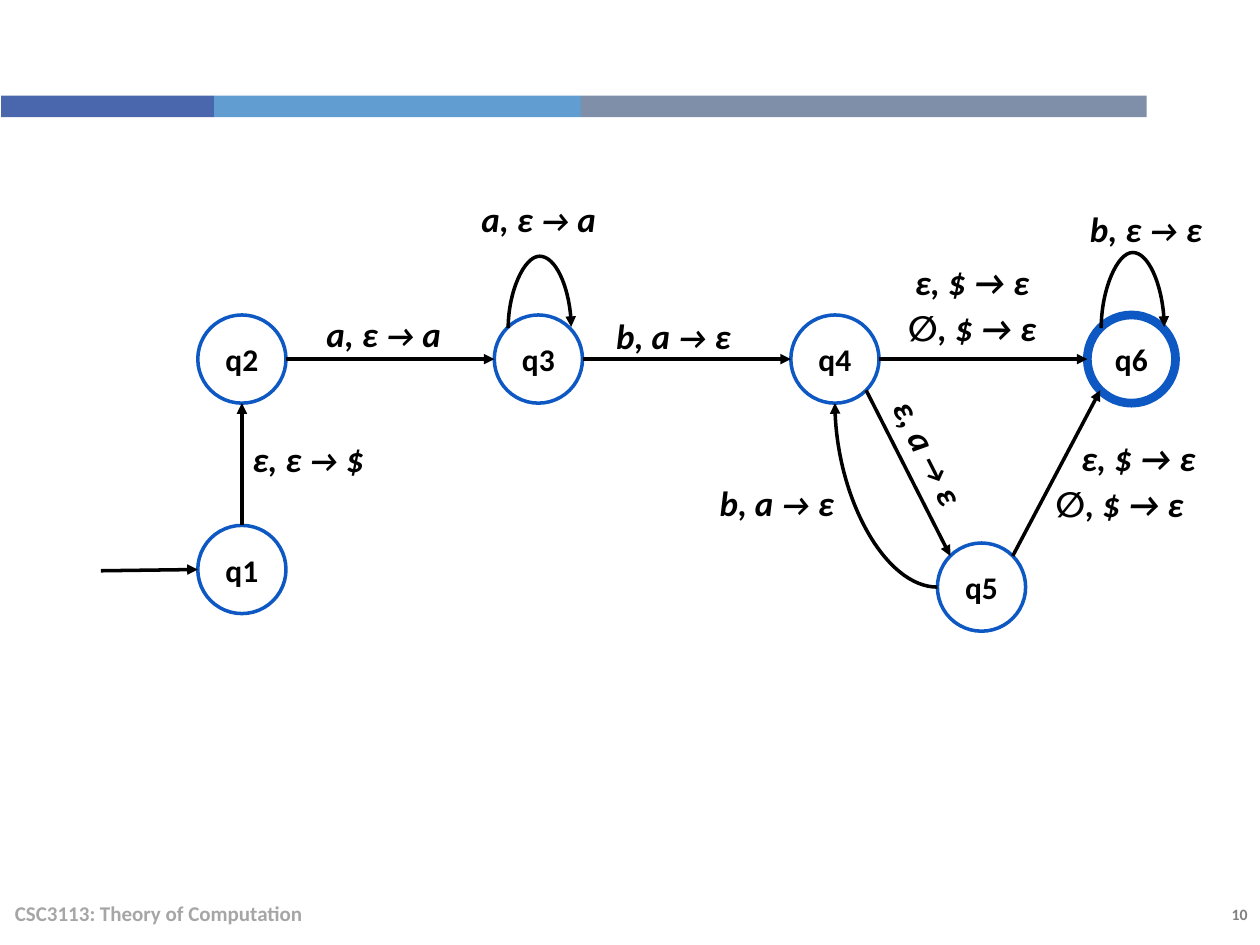
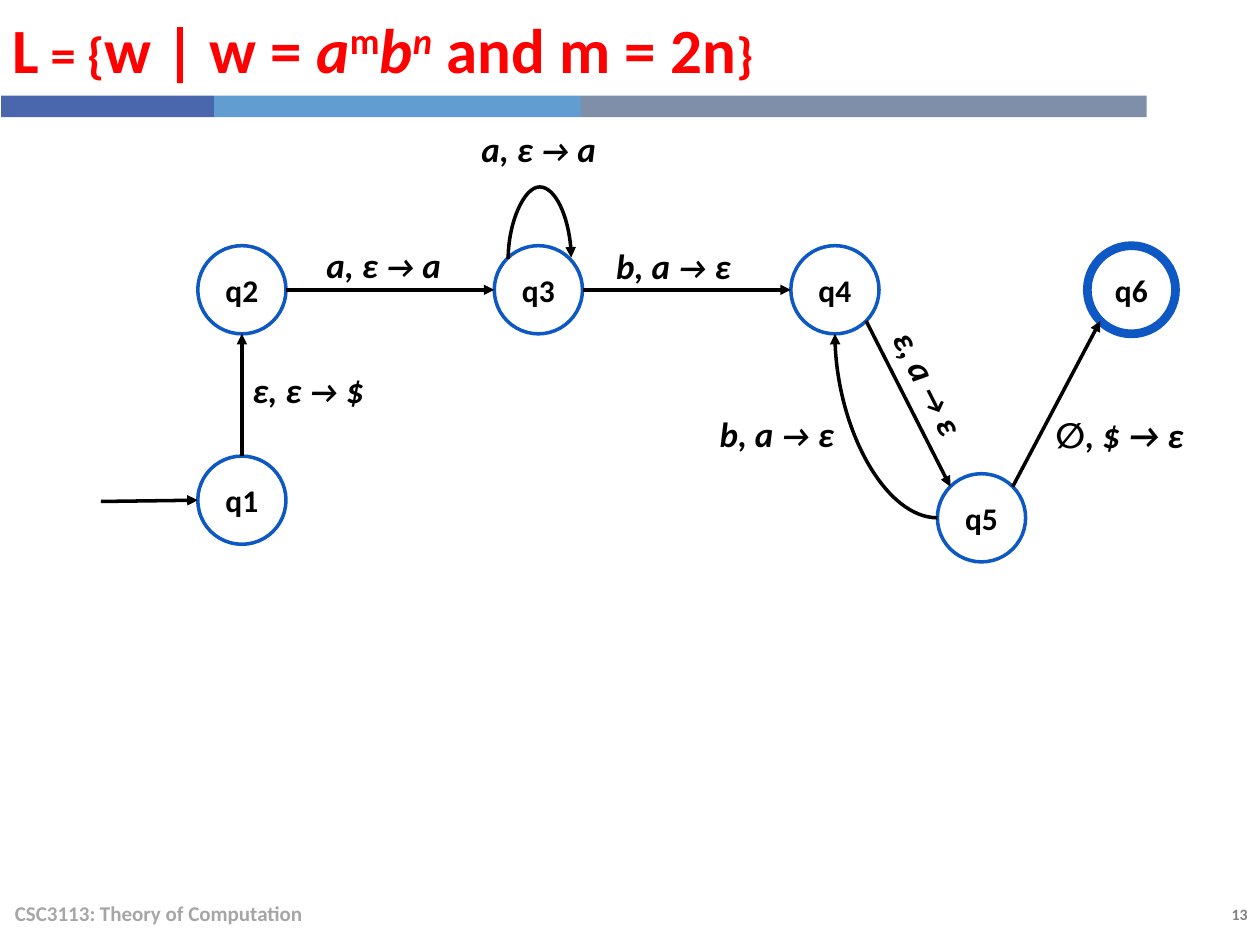
from dataclasses import dataclass
from typing import NamedTuple

import pptx
import pptx.dml.color
import pptx.enum.shapes
import pptx.enum.text
import pptx.oxml.ns
import pptx.oxml.xmlchemy
import pptx.util

FONT = "Calibri"
BLACK, WHITE, BLUE, RED = "000000", "FFFFFF", "0E58C4", "FF0000"
PALE, GRAY = "A6A6A6", "808080"
COURSE = "CSC3113: Theory of Computation"
SIZE = 0.7          # state diameter
LIFT = 0.55         # how far the second diagram moves up
KIND = pptx.enum.shapes.MSO_SHAPE
LINK = pptx.enum.shapes.MSO_CONNECTOR
ALIGN = pptx.enum.text.PP_ALIGN
ANCHOR = pptx.enum.text.MSO_ANCHOR
Inches = pptx.util.Inches


class Point(NamedTuple):
    x: float
    y: float


class Run(NamedTuple):
    text: str
    size: float | None = None
    italic: bool | None = None
    raised: bool = False
    small: bool = False


class Band(NamedTuple):
    left: float
    width: float
    color: str


@dataclass
class State:
    name: str
    left: float
    top: float
    final: bool = False

    def port(self, dx: float, dy: float) -> Point:
        """Point on the rim in direction (dx, dy)."""
        half = SIZE / 2
        reach = half / (dx * dx + dy * dy) ** 0.5
        return Point(self.left + half + dx * reach, self.top + half + dy * reach)


@dataclass
class Label:
    text: str
    left: float
    top: float
    turn: float = 0


BANDS = [Band(0.01, 1.69, "4A66AC"), Band(1.7, 2.91, "629DD1"), Band(4.61, 4.49, "7F8FA9")]
COLS = [1.57 + 7.06 * i / 3 for i in range(4)]
ROW = 2.5
STATES = [
    State("q1", COLS[0], 4.17), State("q2", COLS[0], ROW), State("q3", COLS[1], ROW),
    State("q5", 7.44, 4.31), State("q4", COLS[2], ROW), State("q6", COLS[3], ROW, True),
]

# Edges: from state, direction of its port, to state, direction of its port
LEFT, RIGHT, UP, DOWN = (-1, 0), (1, 0), (0, -1), (0, 1)
EDGES = [
    ("q1", UP, "q2", DOWN), ("q2", RIGHT, "q3", LEFT), ("q3", RIGHT, "q4", LEFT),
    ("q5", (1, -1), "q6", (-1, 1)), ("q4", (1, 1), "q5", (-1, -1)),
]
LABELS = [
    Label("a, ε → a", 2.33, 2.41), Label("b, a → ε", 4.63, 2.42),
    Label("ε, a → ε", 6.66, 3.35, 63.2), Label("a, ε → a", 3.56, 1.49),
    Label("b, a → ε", 5.45, 3.75), Label("ε, ε → $", 1.73, 3.4),
    Label("∅, $ → ε", 8.17, 3.76),
]
MORE = [
    Label("b, ε → ε", 8.38, 1.57), Label("ε, $ → ε", 7, 1.99),
    Label("∅, $ → ε", 7, 2.36), Label("ε, $ → ε", 8.32, 3.39),
]
TITLE = [
    Run("L = {", small=True), Run("w | w = "), Run("a", italic=True), Run("m", raised=True),
    Run("b", italic=True), Run("n", italic=True, raised=True), Run(" and m = 2n"),
    Run("}", small=True),
]


def rgb(code: str) -> pptx.dml.color.RGBColor:
    return pptx.dml.color.RGBColor.from_string(code)


def node(tag: str, **attrs: str):
    """Make a drawing XML element with attributes."""
    item = pptx.oxml.xmlchemy.OxmlElement(f"a:{tag}")
    for key, value in attrs.items():
        item.set(key, value)
    return item


def find(parent, tag: str):
    return parent.find(pptx.oxml.ns.qn(f"a:{tag}"))


def write(frame, runs: list[Run], *, size: float, color: str = BLACK, italic: bool = False,
          align=ALIGN.LEFT, anchor=ANCHOR.MIDDLE, before: float = 0, wrap: bool = True) -> None:
    """Fill a text frame with one formatted paragraph."""
    frame.word_wrap = wrap
    frame.auto_size = pptx.enum.text.MSO_AUTO_SIZE.NONE
    frame.vertical_anchor = anchor
    para = frame.paragraphs[0]
    para.alignment = align
    para.space_before = pptx.util.Pt(before)
    for item in runs:
        run = para.add_run()
        run.text = item.text
        font = run.font
        font.name, font.bold = FONT, True
        font.size = pptx.util.Pt(item.size or size)
        font.italic = italic if item.italic is None else item.italic
        font.color.rgb = rgb(color)
        if item.raised:
            font._element.set("baseline", "30000")
        if item.small:
            font._element.set("cap", "small")


def box(slide, left: float, top: float, width: float, height: float):
    return slide.shapes.add_textbox(Inches(left), Inches(top), Inches(width), Inches(height))


def shape(slide, kind, left: float, top: float, width: float, height: float, fill: str):
    item = slide.shapes.add_shape(kind, Inches(left), Inches(top), Inches(width), Inches(height))
    item.shadow.inherit = False
    item.fill.solid()
    item.fill.fore_color.rgb = rgb(fill)
    item.line.fill.background()
    return item


def link(slide, kind, start: Point, end: Point, tip: str = "tailEnd"):
    """Draw a black connector with one arrowhead."""
    line = slide.shapes.add_connector(
        kind, Inches(start.x), Inches(start.y), Inches(end.x), Inches(end.y))
    line.line.color.rgb = rgb(BLACK)
    line.line.width = pptx.util.Pt(2)
    props = line.element.spPr
    find(props, "ln").append(node(tip, type="triangle"))
    props.append(node("effectLst"))
    return line


def curve(slide, mid: Point, width: float, height: float, *, preset: str, turn: int,
          flips: str, tip: str, bend: float | None = None) -> None:
    """Draw a turned curved connector centred on mid."""
    start = Point(mid.x - width / 2, mid.y - height / 2)
    end = Point(mid.x + width / 2, mid.y + height / 2)
    props = link(slide, LINK.CURVE, start, end, tip).element.spPr
    frame = find(props, "xfrm")
    frame.set("rot", str(turn * 60000))
    for flip in flips:
        frame.set(f"flip{flip}", "1")
    geom = find(props, "prstGeom")
    geom.set("prst", preset)
    if bend is not None:
        find(geom, "avLst").append(node("gd", name="adj1", fmla=f"val {round(bend * 100000)}"))


def loop(slide, state: State, rise: float) -> None:
    drop = 0.01
    mid = Point(state.left + SIZE / 2 + 0.01, state.top + 0.1)
    curve(slide, mid, drop, 0.5, preset="curvedConnector3", turn=90, flips="HV",
          tip="tailEnd", bend=rise / drop)


def back(slide, low: State, high: State) -> None:
    """Curve from the left of the low state up to the foot of the high one."""
    start, end = high.port(*DOWN), low.port(*LEFT)
    mid = Point((start.x + end.x) / 2, (start.y + end.y) / 2)
    curve(slide, mid, end.y - start.y, end.x - start.x, preset="curvedConnector2",
          turn=270, flips="H", tip="headEnd")


def mark(slide, label: Label, lift: float) -> None:
    item = box(slide, label.left, label.top - lift, 1.43, 0.48)
    item.rotation = label.turn
    runs = [Run(label.text)]
    if "$ →" not in label.text:     # stack tests keep a full-size arrow
        left, right = label.text.split("→")
        runs = [Run(left), Run("→", 18), Run(right)]
    write(item.text_frame, runs, size=20, italic=True, align=ALIGN.CENTER)


def draw(slide, lift: float = 0, full: bool = False) -> None:
    """Draw the automaton; full adds the moves into and around q6."""
    states = {s.name: State(s.name, s.left, s.top - lift, s.final) for s in STATES}
    for state in states.values():
        disc = shape(slide, KIND.OVAL, state.left, state.top, SIZE, SIZE, WHITE)
        disc.line.color.rgb = rgb(BLUE)
        disc.line.width = pptx.util.Pt(5 if state.final else 2)
        write(disc.text_frame, [Run(state.name)], size=18, align=ALIGN.CENTER, wrap=False)

    # Moves
    link(slide, LINK.STRAIGHT, Point(0.8, 4.53 - lift), states["q1"].port(*LEFT))
    extra = [("q4", RIGHT, "q6", LEFT)] if full else []
    for first, out, last, into in EDGES + extra:
        link(slide, LINK.STRAIGHT, states[first].port(*out), states[last].port(*into))
    back(slide, states["q5"], states["q4"])
    loop(slide, states["q3"], 0.58)
    if full:
        loop(slide, states["q6"], 0.61)

    # Labels
    for label in LABELS + (MORE if full else []):
        mark(slide, label, lift)


def page(deck, number: int, title: list[Run] | None = None):
    """Add a slide with bands, footer, number and an optional title."""
    slide = deck.slides.add_slide(deck.slide_layouts[5 if title else 6])
    for band in BANDS:
        shape(slide, KIND.RECTANGLE, band.left, 0.76, band.width, 0.17, band.color)
    write(box(slide, 0.02, 7.05, 6.7, 0.4).text_frame, [Run(COURSE)], size=12, color=PALE)
    write(box(slide, 8.73, 7.13, 1.27, 0.25).text_frame, [Run(str(number))], size=9,
          color=GRAY, align=ALIGN.RIGHT, anchor=ANCHOR.TOP)
    if title:
        head = slide.shapes.title
        head.left, head.top, head.width, head.height = map(Inches, (0, 0, 9.1, 0.76))
        write(head.text_frame, title, size=36, color=RED, before=6)
    return slide


def main() -> None:
    deck = pptx.Presentation()
    deck.slide_width, deck.slide_height = Inches(10), Inches(7.5)
    draw(page(deck, 10), full=True)
    draw(page(deck, 13, TITLE), lift=LIFT)
    deck.save("out.pptx")


if __name__ == "__main__":
    main()
